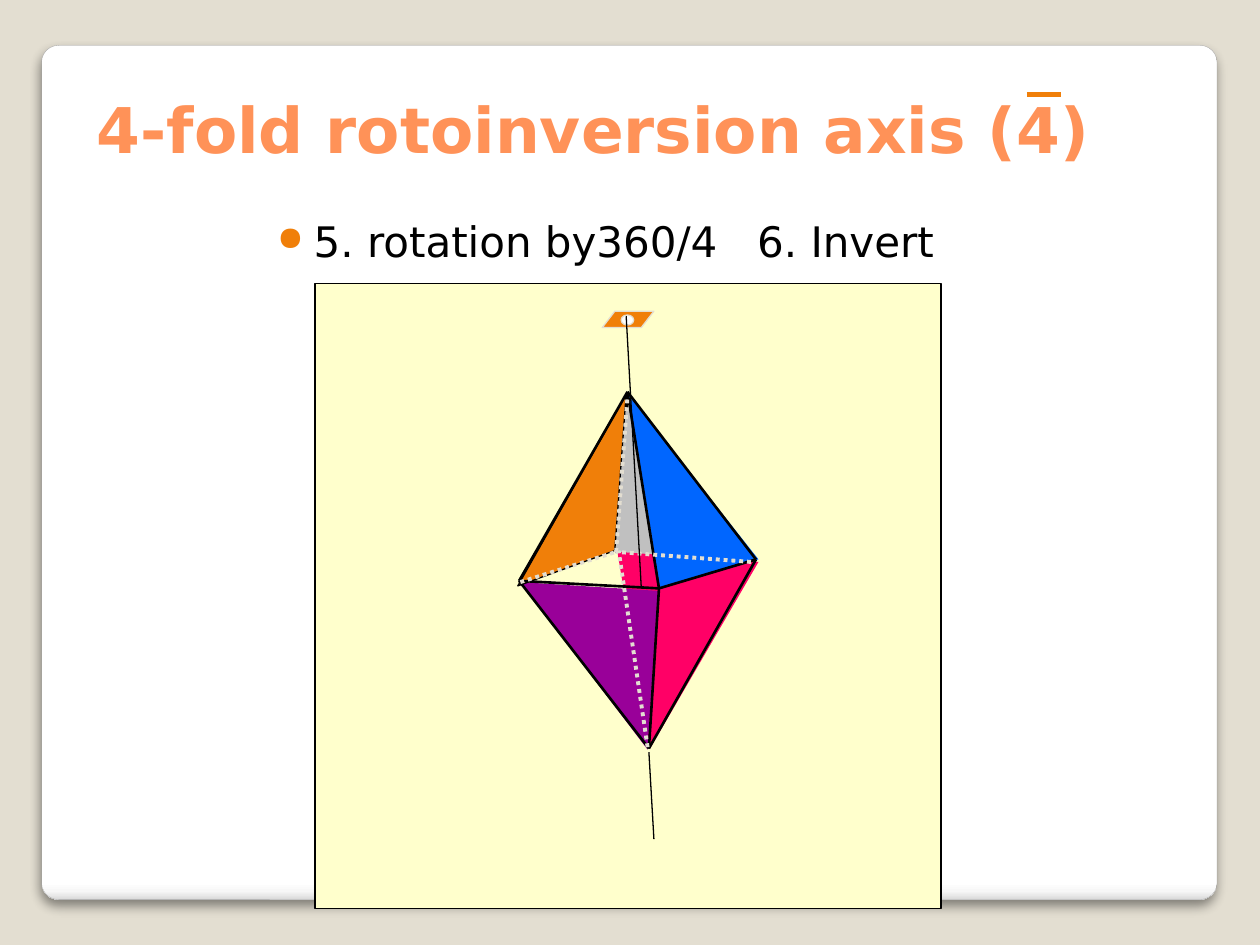
from pptx import Presentation
from pptx.dml.color import RGBColor
from pptx.enum.dml import MSO_LINE
from pptx.enum.shapes import MSO_CONNECTOR, MSO_SHAPE
from pptx.enum.text import MSO_ANCHOR
from pptx.oxml import parse_xml
from pptx.oxml.ns import nsdecls
from pptx.util import Inches, Pt

BEIGE = RGBColor(0xE3, 0xDE, 0xD1)
CARD_EDGE = RGBColor(0xA4, 0xA4, 0xA4)
CREAM = RGBColor(0xFF, 0xFF, 0xCC)
BLACK = RGBColor(0, 0, 0)
WHITE = RGBColor(0xFF, 0xFF, 0xFF)
SILVER = RGBColor(0xC0, 0xC0, 0xC0)
PINK = RGBColor(0xFF, 0, 0x66)
PURPLE = RGBColor(0x99, 0, 0x99)
BLUE = RGBColor(0, 0x66, 0xFF)
ORANGE = RGBColor(0xF0, 0x7F, 0x09)
PEACH = RGBColor(0xFF, 0x92, 0x58)
FONT = "DejaVu Sans"

deck = Presentation()
deck.slide_width, deck.slide_height = Inches(10), Inches(7.5)
page = deck.slides.add_slide(deck.slide_layouts[6])
page.background.fill.solid()
page.background.fill.fore_color.rgb = BEIGE

# The page is a grid of 1000 columns by 750 rows; all places are in cells.
COL, ROW = deck.slide_width // 1000, deck.slide_height // 750


def paint(shape, fill=None, edge=None, width=0.75):
    shape.shadow.inherit = False
    if fill is not None:
        shape.fill.solid()
        shape.fill.fore_color.rgb = fill
    if edge is None:
        shape.line.fill.background()
    else:
        shape.line.color.rgb = edge
        shape.line.width = Pt(width)


def add_line(start, end, color=BLACK, width=1.5, dash=None):
    line = page.shapes.add_connector(
        MSO_CONNECTOR.STRAIGHT,
        start[0] * COL, start[1] * ROW, end[0] * COL, end[1] * ROW)
    line.line.color.rgb = color
    line.line.width = Pt(width)
    if dash is not None:
        line.line.dash_style = dash
    line._element.spPr.append(parse_xml(f"<a:effectLst {nsdecls('a')}/>"))


# Card with a soft lower edge and a shadow
card = page.shapes.add_shape(
    MSO_SHAPE.ROUNDED_RECTANGLE, 33 * COL, 36 * ROW, 933 * COL, 678 * ROW)
card.adjustments[0] = 0.02
paint(card, edge=CARD_EDGE, width=0.16)
stops = "".join(
    f'<a:gs pos="{share * 1000}"><a:srgbClr val="{color}"/></a:gs>'
    for share, color in [(0, "FFFFFF"), (98, "FFFFFF"), (99, "F7F7F7"), (100, "DADADA")])
card_props = card._element.spPr
card_props.insert(2, parse_xml(
    f'<a:gradFill {nsdecls("a")}><a:gsLst>{stops}</a:gsLst>'
    '<a:lin ang="5400000" scaled="0"/></a:gradFill>'))
card_props.remove(card_props[-1])
card_props.append(parse_xml(
    f'<a:effectLst {nsdecls("a")}><a:outerShdw blurRad="{Pt(6)}" dist="{Pt(4)}" '
    'dir="5400000" algn="ctr" rotWithShape="0"><a:srgbClr val="000000">'
    '<a:alpha val="44000"/></a:srgbClr></a:outerShdw></a:effectLst>'))

panel = page.shapes.add_shape(
    MSO_SHAPE.RECTANGLE, 250 * COL, 225 * ROW, 497 * COL, 496 * ROW)
paint(panel, CREAM, BLACK)

# Axis symbol
plate = page.shapes.add_shape(
    MSO_SHAPE.PARALLELOGRAM, 478 * COL, 247 * ROW, 41 * COL, 13 * ROW)
plate.adjustments[0] = 0.77
paint(plate, ORANGE, BEIGE)
hole = page.shapes.add_shape(
    MSO_SHAPE.OVAL, 493 * COL, 250 * ROW, 10 * COL, 8 * ROW)
paint(hole, WHITE, BEIGE)

# Crystal faces, from back to front
faces = [
    (SILVER, None, [(496, 319), (488, 439), (598, 448)]),
    (PINK, None, [(490, 438), (602, 446), (516, 594)]),
    (PURPLE, None, [(413, 462), (522, 469), (514, 595)]),
    (BLUE, None, [(499, 314), (524, 467), (602, 444)]),
    (ORANGE, BLACK, [(497, 313), (411, 465), (488, 437)]),
]
for fill, edge, corners in faces:
    points = [(x * COL, y * ROW) for x, y in corners]
    outline = page.shapes.build_freeform(*points[0], scale=1.0)
    outline.add_line_segments(points[1:], close=True)
    paint(outline.convert_to_shape(), fill, edge)

# Crystal edges
top, bottom = (498, 311), (515, 594)
front, right, left = (523, 467), (600, 444), (412, 461)
for start, end in [
    (top, (497, 326)), (top, front), (top, right), (top, left), (front, right),
    (front, left), (front, bottom), (right, bottom), (left, bottom),
]:
    add_line(start, end)
back = (489, 438)
for start, end in [
    ((413, 462), back), (back, (498, 315)),
    ((596, 446), back), ((514, 593), (491, 437)),
]:
    add_line(start, end, BEIGE, 2.25, MSO_LINE.ROUND_DOT)

# Rotation axis above and below
add_line((497, 251), (509, 467), width=0.75)
add_line((515, 597), (519, 666), width=0.75)

# Texts
texts = [
    {"at": (200, 158, 683, 58), "text": "5. rotation by360/4\t6. Invert", "bullet": True,
     "frame": {"margin_left": 20 * COL, "margin_top": 13 * ROW},
     "font": {"size": Pt(24), "bold": False}, "color": BLACK},
    {"at": (67, 0, 850, 137), "text": "4-fold rotoinversion axis (4)", "bullet": False,
     "frame": {"vertical_anchor": MSO_ANCHOR.BOTTOM},
     "font": {"size": Pt(36), "bold": True}, "color": PEACH},
]
for item in texts:
    x, y, width, height = item["at"]
    box = page.shapes.add_textbox(x * COL, y * ROW, width * COL, height * ROW)
    frame = box.text_frame
    frame.word_wrap = True
    for name, value in item["frame"].items():
        setattr(frame, name, value)
    para = frame.paragraphs[0]
    if item["bullet"]:
        props = para._p.get_or_add_pPr()
        props.set("marL", str(29 * COL))
        props.set("indent", str(-29 * COL))
        for markup in (
            f'<a:buClr {nsdecls("a")}><a:srgbClr val="{ORANGE}"/></a:buClr>',
            f'<a:buSzPct {nsdecls("a")} val="80000"/>',
            f'<a:buChar {nsdecls("a")} char="●"/>',
            f'<a:tabLst {nsdecls("a")}><a:tab pos="{381 * COL}" algn="l"/></a:tabLst>',
        ):
            props.append(parse_xml(markup))
    span = para.add_run()
    span.text = item["text"]
    span.font.name = FONT
    span.font.color.rgb = item["color"]
    for name, value in item["font"].items():
        setattr(span.font, name, value)

# Bar over the 4
add_line((815, 75), (842, 75), ORANGE, 3)

deck.save("out.pptx")
